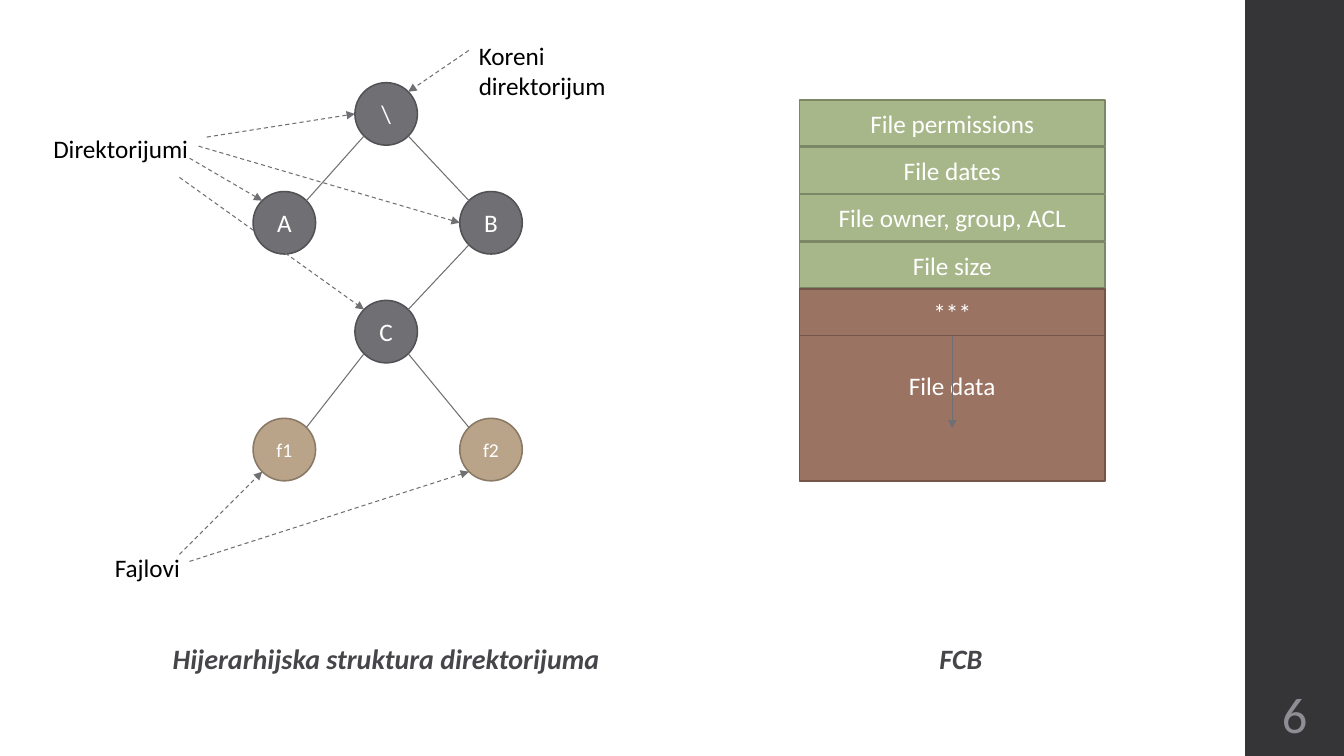
from dataclasses import dataclass

from lxml import etree
from pptx import Presentation
from pptx import util as u
from pptx.dml.color import RGBColor
from pptx.enum import dml, shapes, text
from pptx.oxml.ns import qn


@dataclass(frozen=True)
class Theme:
    font: str = "Calibri"
    sidebar: str = "353537"
    number: str = "8E8E94"
    caption: str = "46464A"
    label: str = "000000"
    light: str = "FFFFFF"
    edge: str = "6F6F74"
    directory: tuple = ("6F6F74", "525256")  # fill, outline
    file: tuple = ("B9A489", "897965")
    attribute: tuple = ("A7B789", "7C8765")
    data: tuple = ("9B7362", "735549")
    body_pt: int = 18
    file_pt: int = 14
    caption_pt: int = 20
    number_pt: int = 36
    outline_pt: float = 1.1
    edge_pt: float = 0.75


@dataclass(frozen=True)
class Box:
    x: float
    y: float
    w: float
    h: float

    def inner(self, dx, dy, w, h):
        return Box(self.x + dx, self.y + dy, w, h)

    def inches(self):
        return [u.Inches(v) for v in (self.x, self.y, self.w, self.h)]

    def rim(self, dx, dy):
        """Point on the inscribed ellipse in the direction (dx, dy)."""
        length = (dx * dx + dy * dy) ** 0.5
        return (self.x + self.w / 2 * (1 + dx / length),
                self.y + self.h / 2 * (1 + dy / length))


T = Theme()
CENTER, LEFT = text.PP_ALIGN.CENTER, text.PP_ALIGN.LEFT
UPPER_LEFT, UPPER_RIGHT = (-1, -1), (1, -1)
LOWER_LEFT, LOWER_RIGHT = (-1, 1), (1, 1)
WEST = (-1, 0)


def write(sp, words, size, color, align=CENTER, anchor=text.MSO_ANCHOR.MIDDLE):
    tf = sp.text_frame
    tf.word_wrap = True
    tf.vertical_anchor = anchor
    p = tf.paragraphs[0]
    p.alignment = align
    r = p.add_run()
    r.text = words
    r.font.name = T.font
    r.font.size = u.Pt(size)
    r.font.color.rgb = RGBColor.from_string(color)
    return p, r


def add_block(s, kind, box, colors, words="", size=T.body_pt):
    fill, outline = colors
    sp = s.shapes.add_shape(kind, *box.inches())
    sp.shadow.inherit = False
    sp.fill.solid()
    sp.fill.fore_color.rgb = RGBColor.from_string(fill)
    if outline:
        sp.line.color.rgb = RGBColor.from_string(outline)
        sp.line.width = u.Pt(T.outline_pt)
    else:
        sp.line.fill.background()
    if words:
        tf = sp.text_frame
        tf.margin_left = tf.margin_right = 0
        write(sp, words, size, T.light)


def add_line(s, start, end, dashed=False, arrow=False):
    ends = [u.Inches(v) for v in (*start, *end)]
    line = s.shapes.add_connector(shapes.MSO_CONNECTOR.STRAIGHT, *ends)
    line.line.color.rgb = RGBColor.from_string(T.edge)
    line.line.width = u.Pt(T.edge_pt)
    if dashed:
        line.line.dash_style = dml.MSO_LINE.DASH
    if arrow:
        ln = line.line._get_or_add_ln()
        etree.SubElement(ln, qn("a:tailEnd"), type="triangle")
    etree.SubElement(line._element.spPr, qn("a:effectLst"))


def add_label(s, box, words):
    sp = s.shapes.add_textbox(*box.inches())
    write(sp, words, T.body_pt, T.label, LEFT, text.MSO_ANCHOR.TOP)


def add_caption(s, box, words):
    sp = s.shapes.add_textbox(*box.inches())
    p, r = write(sp, words, T.caption_pt, T.caption, anchor=text.MSO_ANCHOR.BOTTOM)
    p.line_spacing = 0.95
    p.space_after = u.Pt(2)
    r.font.bold = r.font.italic = True


def add_sidebar(s, box, number):
    add_block(s, shapes.MSO_SHAPE.RECTANGLE, box, (T.sidebar, None))
    sp = s.shapes.add_textbox(*box.inner(0, 6.75, box.w, 0.65).inches())
    tf = sp.text_frame
    tf.margin_left = tf.margin_right = u.Inches(0.05)
    write(sp, number, T.number_pt, T.number)


def add_directory_tree(s, box):
    size = 0.62
    left, middle, right = 2.08, 3.09, 4.13
    places = {"\\": (middle, 0.47), "A": (left, 1.55), "B": (right, 1.55),
              "C": (middle, 2.63), "f1": (left, 3.8), "f2": (right, 3.8)}
    nodes = {name: box.inner(*at, size, size) for name, at in places.items()}
    for name, node in nodes.items():
        is_file = name.startswith("f")
        add_block(s, shapes.MSO_SHAPE.OVAL, node,
                  T.file if is_file else T.directory, name,
                  T.file_pt if is_file else T.body_pt)

    for parent, child in (("\\", "A"), ("\\", "B"), ("B", "C"),
                          ("C", "f1"), ("C", "f2")):
        to_right = places[child][0] > places[parent][0]
        add_line(s, nodes[parent].rim(*(LOWER_RIGHT if to_right else LOWER_LEFT)),
                 nodes[child].rim(*(UPPER_LEFT if to_right else UPPER_RIGHT)))

    for start, name, side in (((1.35, 5.15), "f1", LOWER_LEFT),
                              ((1.45, 5.22), "f2", LOWER_LEFT),
                              ((4.22, 0.15), "\\", UPPER_RIGHT),
                              ((1.45, 1.22), "A", UPPER_LEFT),
                              ((1.35, 1.41), "C", UPPER_LEFT),
                              ((1.54, 1.1), "B", WEST),
                              ((1.62, 1.01), "\\", WEST)):
        add_line(s, (box.x + start[0], box.y + start[1]),
                 nodes[name].rim(*side), dashed=True, arrow=True)

    add_label(s, box.inner(0.61, 5.08, 1.56, 0.4), "Fajlovi")
    add_label(s, box.inner(4.22, 0, 1.55, 0.71), "Koreni direktorijum")
    add_label(s, box.inner(0, 0.92, 1.81, 0.4), "Direktorijumi")


def add_control_block(s, box):
    """Stack the file attributes above the file data."""
    rect, row, pitch = shapes.MSO_SHAPE.RECTANGLE, 0.46, 0.47
    attributes = ("File permissions", "File dates",
                  "File owner, group, ACL", "File size")
    for i, name in enumerate(attributes):
        add_block(s, rect, box.inner(0, i * pitch, box.w, row), T.attribute, name)
    top = len(attributes) * pitch
    add_block(s, rect, box.inner(0, top, box.w, box.h - top), T.data, "File data")
    add_block(s, rect, box.inner(0, top, box.w, row), T.data, "***")
    x, y = box.x + box.w / 2, box.y + top + row
    add_line(s, (x, y), (x, y + 0.92), arrow=True)


def main():
    prs = Presentation()
    prs.slide_width, prs.slide_height = u.Inches(13.33), u.Inches(7.5)
    s = prs.slides.add_slide(prs.slide_layouts[6])
    add_sidebar(s, Box(12.35, 0, 0.98, 7.5), "6")
    add_caption(s, Box(1.38, 5.95, 4.9, 0.8), "Hijerarhijska struktura direktorijuma")
    add_caption(s, Box(7.08, 5.95, 4.9, 0.8), "FCB")
    add_directory_tree(s, Box(0.43, 0.35, 5.77, 5.48))
    add_control_block(s, Box(7.93, 0.99, 3.03, 3.78))
    prs.save("out.pptx")


if __name__ == "__main__":
    main()
